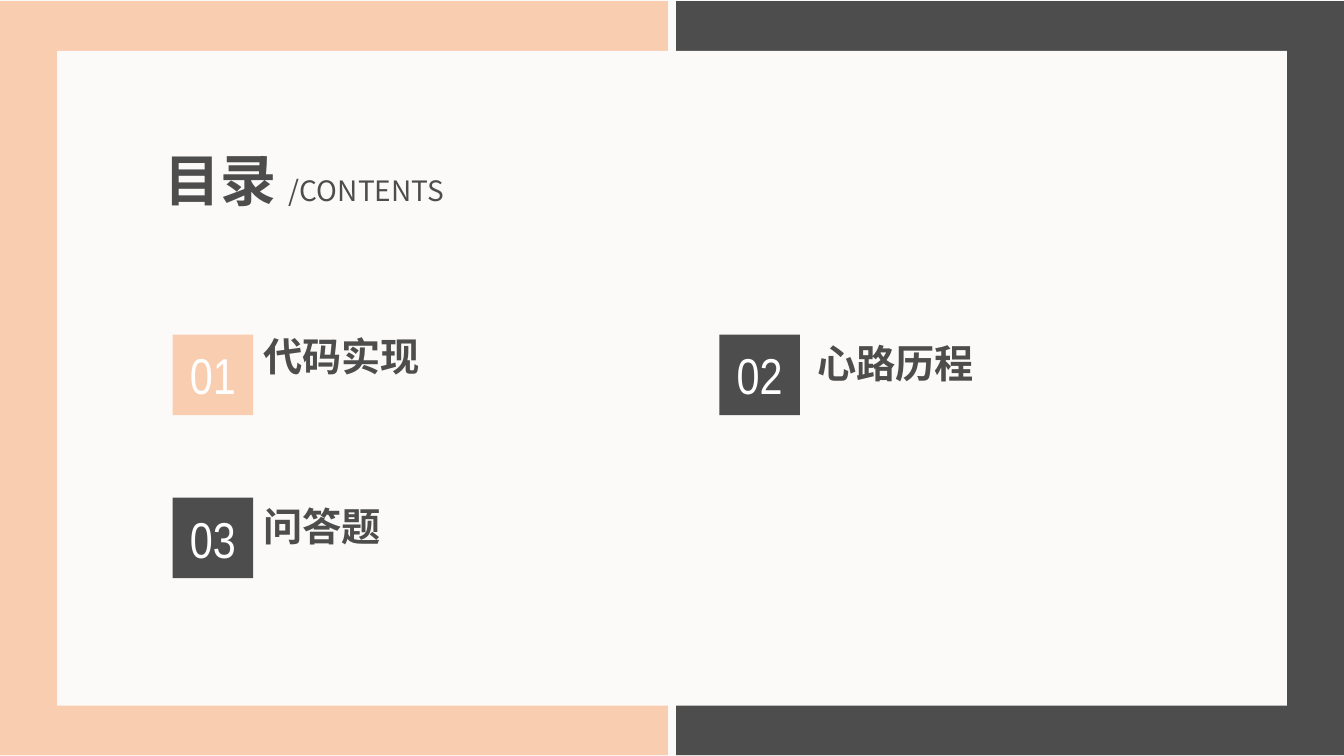
from dataclasses import dataclass

from lxml.etree import SubElement
from pptx import Presentation
from pptx.dml.color import RGBColor as Rgb
from pptx.enum.shapes import MSO_SHAPE as Kind
from pptx.enum.text import MSO_ANCHOR as Anchor, MSO_AUTO_SIZE as Fit, PP_ALIGN as Align
from pptx.oxml.ns import qn
from pptx.util import Cm, Pt


@dataclass(frozen=True)
class Theme:
    paper: str = "FBFAF8"
    peach: str = "F9CDB0"
    dark: str = "4D4D4D"
    white: str = "FFFFFF"
    cjk: str = "Noto Sans CJK SC"
    sans: str = "Arial"
    narrow: str = "Arial Narrow"
    title: int = 40
    badge: int = 36
    label: int = 28
    small: int = 20


class Deck:
    def __init__(self, theme):
        self.theme = theme
        self.file = Presentation()
        self.file.slide_width = Cm(33.87)
        self.file.slide_height = Cm(19.05)
        self.slide = self.file.slides.add_slide(self.file.slide_layouts[5])
        fill = self.slide.background.fill
        fill.solid()
        fill.fore_color.rgb = Rgb.from_string(theme.paper)

    def style(self, run, face, size, color, bold=False):
        font = run.font
        font.name = face
        font.size = Pt(size)
        font.bold = bold
        font.color.rgb = Rgb.from_string(color)
        east = SubElement(run._r.get_or_add_rPr(), qn("a:ea"))
        east.set("typeface", self.theme.cjk)

    def rect(self, box, color):
        shape = self.slide.shapes.add_shape(Kind.RECTANGLE, *map(Cm, box))
        shape.shadow.inherit = False
        shape.fill.solid()
        shape.fill.fore_color.rgb = Rgb.from_string(color)
        shape.line.fill.background()
        return shape

    def badge(self, left, top, text, color):
        frame = self.rect((left, top, 2.03, 2.03), color).text_frame
        frame.text = text
        frame.vertical_anchor = Anchor.MIDDLE
        para = frame.paragraphs[0]
        para.alignment = Align.CENTER
        self.style(para.runs[0], self.theme.narrow, self.theme.badge, self.theme.white)

    def label(self, box, text, align):
        frame = self.slide.shapes.add_textbox(*map(Cm, box)).text_frame
        frame.word_wrap = True
        frame.auto_size = Fit.SHAPE_TO_FIT_TEXT
        frame.text = text
        para = frame.paragraphs[0]
        para.alignment = align
        self.style(para.runs[0], self.theme.sans, self.theme.label, self.theme.dark, True)

    def title(self, box, main, sub):
        shape = self.slide.shapes.title
        shape.left, shape.top, shape.width, shape.height = map(Cm, box)
        tree = shape.element.getparent()
        tree.append(shape.element)
        frame = shape.text_frame
        frame.word_wrap = True
        frame.auto_size = Fit.NONE
        frame.vertical_anchor = Anchor.MIDDLE
        frame.text = main
        para = frame.paragraphs[0]
        para.alignment = Align.LEFT
        para.line_spacing = 0.9
        tail = para.add_run()
        tail.text = sub
        look = self.theme
        self.style(para.runs[0], look.cjk, look.title, look.dark, True)
        self.style(tail, look.cjk, look.small, look.dark)


def main():
    theme = Theme()
    deck = Deck(theme)
    deck.rect((0, 0.03, 16.83, 19), theme.peach)
    deck.rect((17.04, 0.03, 16.83, 19), theme.dark)
    deck.rect((1.44, 1.28, 30.99, 16.5), theme.paper)
    deck.title((3.89, 3.38, 11.46, 2.49), "目录 ", "/CONTENTS")

    items = [
        (4.35, 8.43, theme.peach, "代码实现", (6.38, 8.24, 10.9, 1.45), Align.LEFT),
        (18.13, 8.43, theme.dark, "心路历程", (17.63, 8.43, 9.88, 1.45), Align.CENTER),
        (4.35, 12.54, theme.dark, "问答题", (6.38, 12.54, 10.9, 1.45), Align.LEFT),
    ]
    for num, (left, top, color, text, box, align) in enumerate(items, 1):
        deck.label(box, text, align)
        deck.badge(left, top, f"{num:02}", color)

    deck.file.save("out.pptx")


if __name__ == "__main__":
    main()
